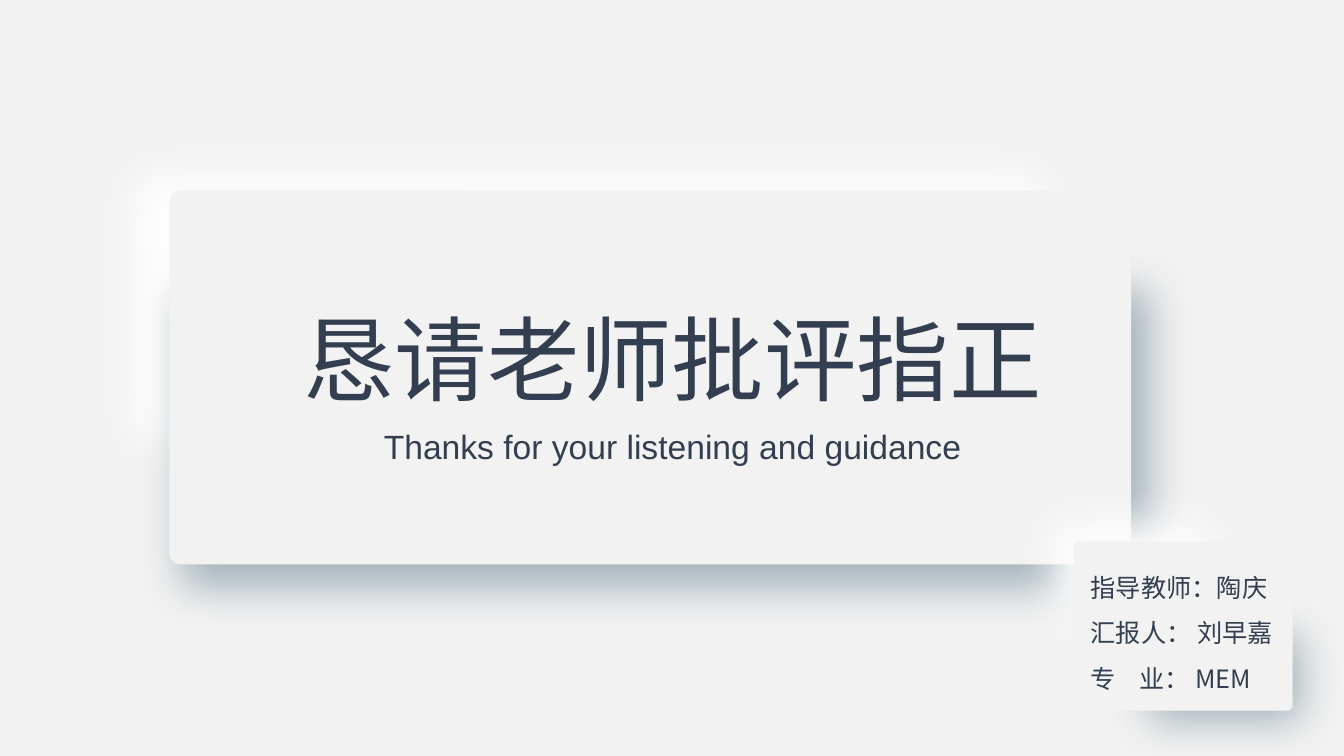
import pptx
import pptx.util
import pptx.dml.color
import pptx.enum.shapes
import pptx.enum.text
import pptx.oxml
import pptx.oxml.ns
from dataclasses import dataclass


@dataclass(frozen=True)
class Theme:
    """Colours, fonts and type sizes of the slide."""
    surface: str = "F2F2F2"
    light: str = "FFFFFF"
    shade: str = "A4B2BA"
    ink: str = "333F50"
    chinese: str = "Noto Sans CJK SC"
    latin: str = "Arial"
    title: int = 66
    subtitle: int = 24
    detail: int = 18
    blur: float = 0.44


theme = Theme()
rgb = pptx.dml.color.RGBColor.from_string
inches = pptx.util.Inches
anchors = pptx.enum.text.MSO_ANCHOR
alignments = pptx.enum.text.PP_ALIGN

deck = pptx.Presentation()
deck.slide_width, deck.slide_height = inches(13.33), inches(7.5)
page = deck.slides.add_slide(deck.slide_layouts[0])
page.background.fill.solid()
page.background.fill.fore_color.rgb = rgb(theme.surface)


def add_layer(area, color, corner, blur=0):
    """Add one rounded layer of a raised card, with soft edges if blurred."""
    layer = page.shapes.add_shape(
        pptx.enum.shapes.MSO_SHAPE.ROUNDED_RECTANGLE, *map(inches, area))
    layer.adjustments[0] = corner
    layer.shadow.inherit = False
    layer.fill.solid()
    layer.fill.fore_color.rgb = rgb(color)
    layer.line.fill.background()
    if blur:
        effects = layer._element.spPr.find(pptx.oxml.ns.qn("a:effectLst"))
        effects.append(pptx.oxml.parse_xml(
            f'<a:softEdge {pptx.oxml.ns.nsdecls("a")} rad="{inches(blur)}"/>'))


def write_lines(box, area, lines, font, size, align, anchor, spacing=1.0):
    """Place a text object and fill it with one paragraph per line."""
    box.left, box.top, box.width, box.height = map(inches, area)
    frame = box.text_frame
    frame.word_wrap = True
    frame.auto_size = pptx.enum.text.MSO_AUTO_SIZE.NONE
    frame.vertical_anchor = anchor
    for index, line in enumerate(lines):
        para = frame.add_paragraph() if index else frame.paragraphs[0]
        para.alignment = align
        para.line_spacing = spacing
        para.space_before = pptx.util.Pt(0)
        span = para.add_run()
        span.text = line
        span.font.name = font
        span.font.size = pptx.util.Pt(size)
        span.font.color.rgb = rgb(theme.ink)
        east_asian = pptx.oxml.parse_xml(
            f'<a:ea {pptx.oxml.ns.nsdecls("a")} typeface="{font}"/>')
        span.font._element.find(pptx.oxml.ns.qn("a:latin")).addnext(east_asian)


# Each card: highlight, shade and face
cards = [
    [(0.9, 1.31, 9.88, 3.55), (1.37, 2.45, 10.46, 3.81), (1.68, 1.89, 9.54, 3.71)],
    [(10.01, 4.75, 2.38, 1.79), (10.96, 5.86, 2.38, 1.73), (10.65, 5.37, 2.17, 1.68)],
]
for highlight, shade, face in cards:
    add_layer(highlight, theme.light, 0.07, theme.blur)
    add_layer(shade, theme.shade, 0.03, theme.blur)
    add_layer(face, theme.surface, 0.03)

title, subtitle = page.placeholders
for box in (title, subtitle):
    box._element.getparent().append(box._element)  # in front of the cards
write_lines(title, (2.37, 2.94, 8.59, 1.21), ["恳请老师批评指正"],
            theme.chinese, theme.title, alignments.CENTER, anchors.MIDDLE)
write_lines(subtitle, (2.5, 4.18, 8.34, 0.5),
            ["Thanks for your listening and guidance"],
            theme.latin, theme.subtitle, alignments.CENTER, anchors.TOP)

details = page.shapes.add_textbox(0, 0, 0, 0)
write_lines(details, (10.72, 5.48, 2.22, 1.46),
            ["指导教师：陶庆", "汇报人： 刘早嘉", "专\t业： MEM"],
            theme.chinese, theme.detail, alignments.LEFT, anchors.TOP, 1.5)
major = details.text_frame.paragraphs[-1]
major._element.get_or_add_pPr().append(pptx.oxml.parse_xml(
    f'<a:tabLst {pptx.oxml.ns.nsdecls("a")}>'
    f'<a:tab pos="{inches(0.48)}" algn="l"/></a:tabLst>'))

deck.save("out.pptx")
